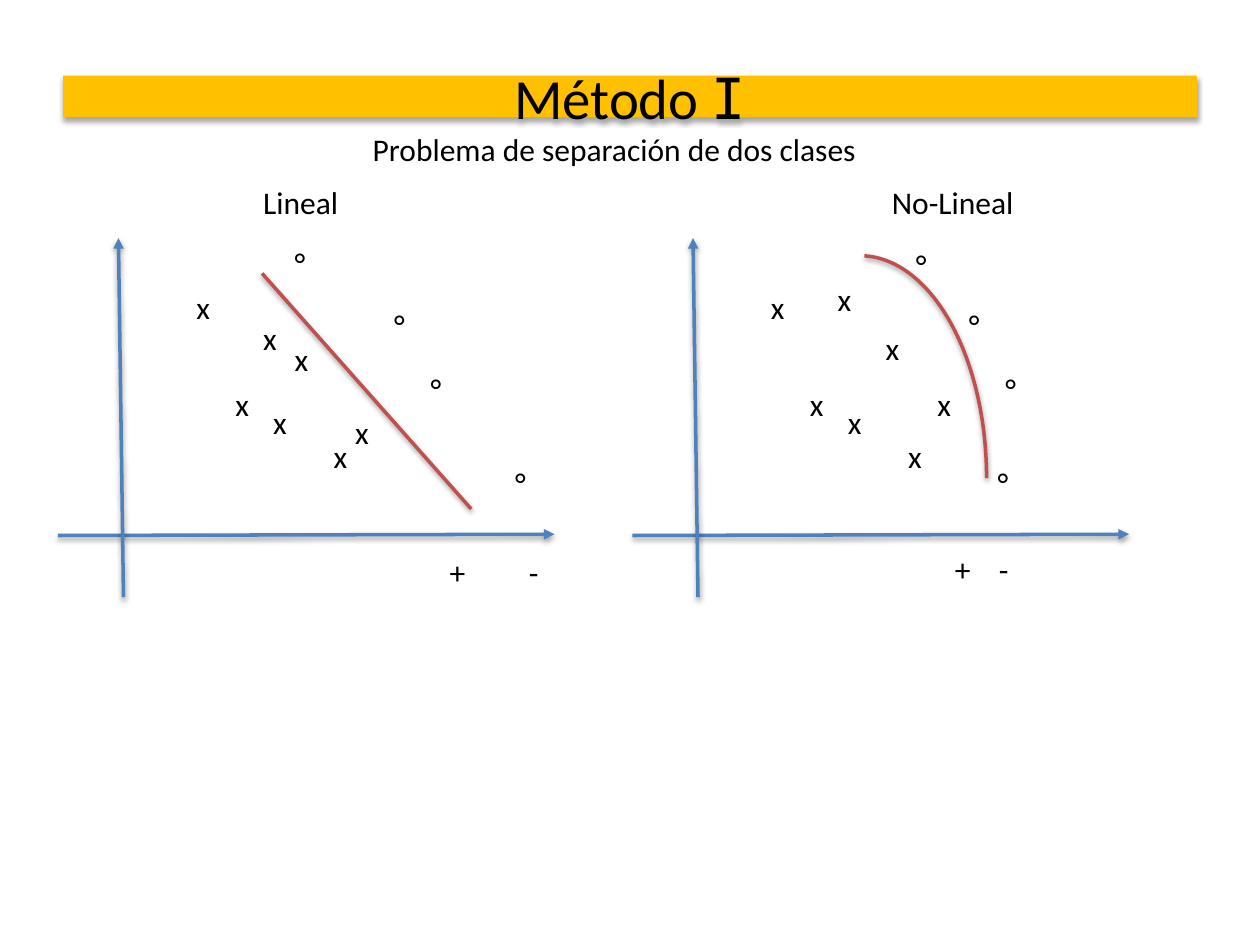
from lxml import etree
from pptx import Presentation
from pptx.dml.color import RGBColor
from pptx.enum.shapes import MSO_CONNECTOR, MSO_SHAPE
from pptx.enum.text import MSO_ANCHOR, MSO_AUTO_SIZE, PP_ALIGN
from pptx.oxml.ns import qn
from pptx.util import Inches, Pt

STRAIGHT = MSO_CONNECTOR.STRAIGHT
ARC = MSO_SHAPE.ARC
MIDDLE = MSO_ANCHOR.MIDDLE
NO_FIT, GROW = MSO_AUTO_SIZE.NONE, MSO_AUTO_SIZE.SHAPE_TO_FIT_TEXT
CENTER = PP_ALIGN.CENTER

COLORS = {"bar": "FFC000", "axis": "4F81BD", "border": "C0504D", "text": "000000"}
FONT = "Calibri"
PANEL_STEP = 4.56
SHARED_CROSSES = [(1.46, 2.24), (2.07, 3.15), (1.77, 3.01), (2.55, 3.42)]
SHARED_CIRCLES = [(3.03, 2.38), (3.32, 2.89)]
LINEAR_CROSSES = [(2.24, 2.65), (1.99, 2.48), (2.72, 3.23)]
LINEAR_CIRCLES = [(2.24, 1.89), (3.99, 3.63)]
CURVED_CROSSES = [(2.37, 2.56), (1.99, 2.17), (2.78, 3.01)]
CURVED_CIRCLES = [(2.61, 1.9), (3.26, 3.63)]


def rgb(name):
    """Return the named colour."""
    return RGBColor.from_string(COLORS[name])


def add_shadow(sp, alpha, dist):
    """Give a shape a soft shadow that falls straight down."""
    effects = etree.SubElement(sp._element.spPr, qn("a:effectLst"))
    outer = etree.SubElement(effects, qn("a:outerShdw"), blurRad=str(Pt(3.1)),
                             dist=str(Pt(dist)), dir="5400000", rotWithShape="0")
    color = etree.SubElement(outer, qn("a:srgbClr"), val=COLORS["text"])
    etree.SubElement(color, qn("a:alpha"), val=str(alpha * 1000))


def add_run(p, text, size=18, font=FONT):
    """Add a formatted run to a paragraph."""
    r = p.add_run()
    r.text = text
    r.font.size, r.font.name = Pt(size), font
    r.font.color.rgb = rgb("text")


def add_text(s, text, x, y, w, tab=None):
    """Add a one-line label, with an optional tab stop in inches."""
    tb = s.shapes.add_textbox(Inches(x), Inches(y), Inches(w), Inches(0.4))
    tf = tb.text_frame
    tf.word_wrap, tf.auto_size = False, GROW
    p = tf.paragraphs[0]
    add_run(p, text)
    if tab:
        stops = etree.SubElement(p._p.get_or_add_pPr(), qn("a:tabLst"))
        etree.SubElement(stops, qn("a:tab"), pos=str(Inches(tab)), algn="l")


def style_line(sp, color):
    """Set the colour, width and shadow of a line."""
    sp.line.color.rgb, sp.line.width = rgb(color), Pt(2)
    add_shadow(sp, 38, 1.6)


def add_line(s, start, end, color, arrow=False):
    """Add a straight line, optionally with an arrowhead at its end."""
    points = [Inches(v) for v in (*start, *end)]
    cn = s.shapes.add_connector(STRAIGHT, *points)
    style_line(cn, color)
    if arrow:
        etree.SubElement(cn.line._get_or_add_ln(), qn("a:tailEnd"), type="triangle")


def add_arc(s, x, y, w, h, start):
    """Add an arc that ends at its rightmost point."""
    sp = s.shapes.add_shape(ARC, Inches(x), Inches(y), Inches(w), Inches(h))
    sp.adjustments[0], sp.adjustments[1] = start, 0
    sp.fill.background()
    style_line(sp, "border")


def add_title(s):
    """Fill the title placeholder as a bar across the slide."""
    sp = s.shapes.title
    sp.left, sp.top, sp.width, sp.height = map(Inches, (0.5, 0.6, 9, 0.33))
    sp.fill.solid()
    sp.fill.fore_color.rgb = rgb("bar")
    add_shadow(sp, 35, 1.8)
    tf = sp.text_frame
    tf.auto_size, tf.vertical_anchor = NO_FIT, MIDDLE
    p = tf.paragraphs[0]
    p.alignment = CENTER
    add_run(p, "Método ", size=32.4)
    add_run(p, "I", size=32.4, font="DejaVu Sans Mono")


def add_panel(s, dx, crosses, circles):
    """Draw the axes and both classes of points of one panel."""
    add_line(s, (0.46 + dx, 4.25), (4.4 + dx, 4.24), "axis", arrow=True)
    add_line(s, (0.98 + dx, 4.74), (0.94 + dx, 1.89), "axis", arrow=True)
    for x, y in SHARED_CROSSES + crosses:
        add_text(s, "x", x + dx, y, 0.31)
    for x, y in SHARED_CIRCLES + circles:
        add_text(s, "°", x + dx, y, 0.29)


def main():
    """Build and save the slide."""
    prs = Presentation()
    prs.slide_width, prs.slide_height = Inches(10), Inches(7.5)
    s = prs.slides.add_slide(prs.slide_layouts[5])
    add_title(s)
    add_panel(s, 0, LINEAR_CROSSES, LINEAR_CIRCLES)
    add_line(s, (2.08, 2.17), (3.74, 4.04), "border")
    add_panel(s, PANEL_STEP, CURVED_CROSSES, CURVED_CIRCLES)
    add_arc(s, 5.82, 2.03, 2.01, 3.53, 162.69)
    add_text(s, "Lineal", 1.99, 1.4, 0.81)
    add_text(s, "No-Lineal", 6.98, 1.4, 1.18)
    add_text(s, "Problema de separación de dos clases", 2.86, 0.98, 4.08)
    add_text(s, "+\t-", 3.47, 4.34, 0.93, tab=0.63)
    add_text(s, "+\t-", 7.48, 4.32, 0.64, tab=0.35)
    prs.save("out.pptx")


if __name__ == "__main__":
    main()
